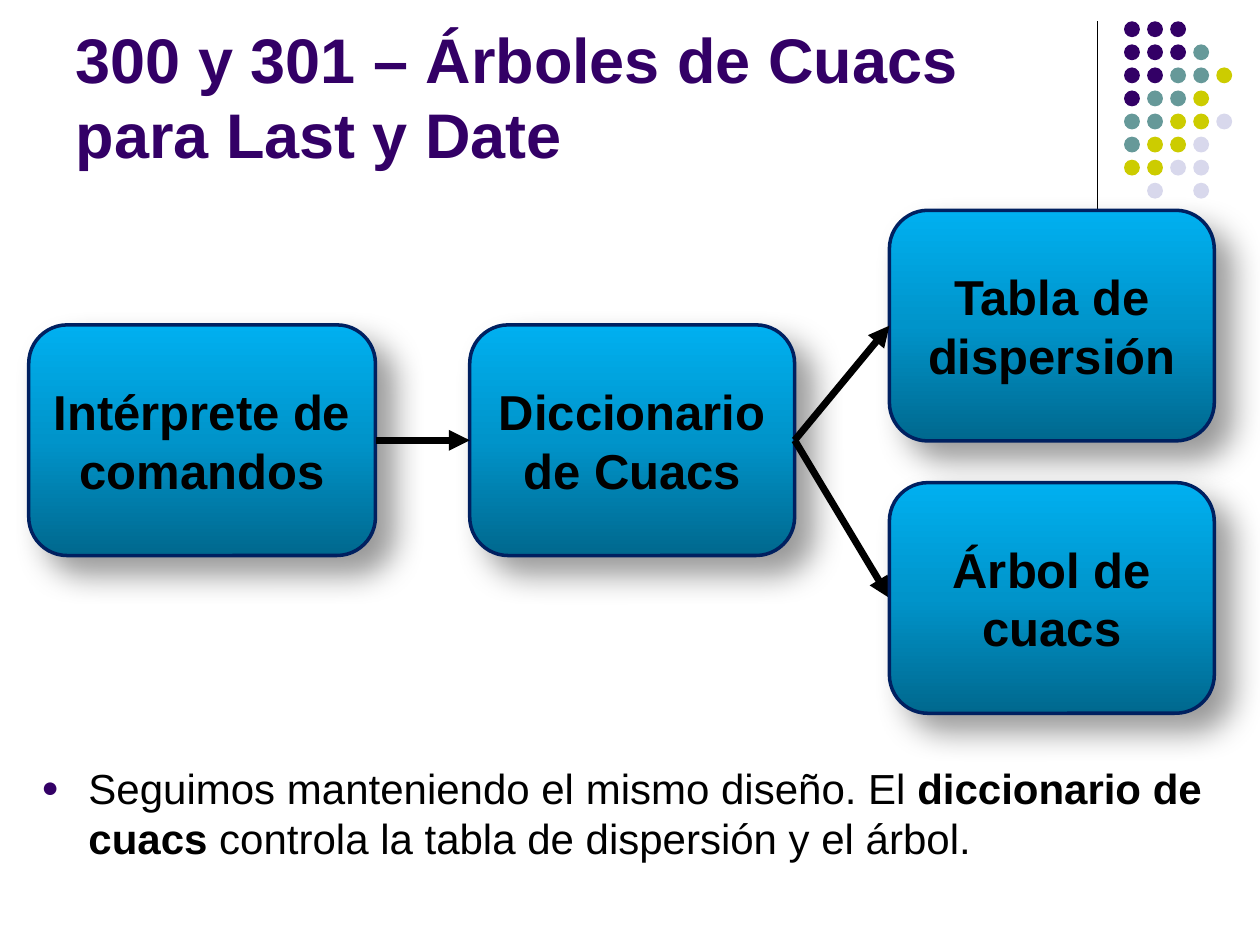
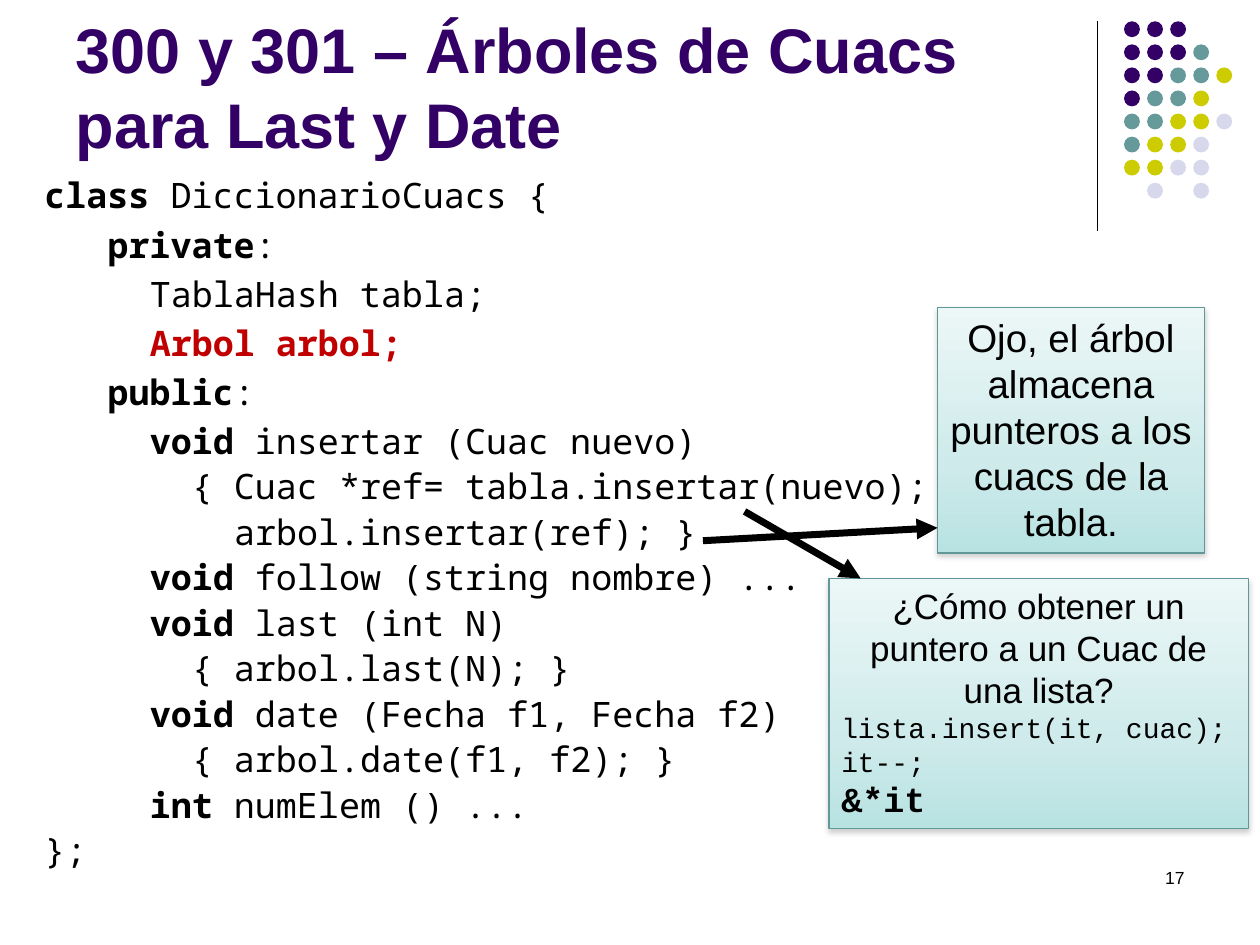
from lxml.etree import SubElement
from pptx import Presentation
from pptx.dml.color import RGBColor
from pptx.enum.shapes import MSO_CONNECTOR as CONN, MSO_SHAPE as SHAPE
from pptx.enum.text import MSO_ANCHOR as ANCHOR, MSO_AUTO_SIZE as AUTO, PP_ALIGN as ALIGN
from pptx.oxml.ns import qn
from pptx.util import Cm, Pt

COLORS = {
    "black": "000000", "purple": "330066", "teal": "669999", "lime": "CCCC00",
    "lilac": "D8D8EC", "navy": "002060", "red": "C00000", "edge": "629797",
    "gray": "808080",
}
BLUE_STOPS = [(0, "00688E"), (50, "0094CA"), (100, "00B0F0")]
MINT_STOPS = [(0, "ECF7F7"), (65, "CEEAEA"), (100, "B8E2E2")]
BOX_STYLE = dict(stops=BLUE_STOPS, angle=270, edge="navy", width=2,
                 shadow=("black", 40, 18, 14, 45))
NOTE_STYLE = dict(stops=MINT_STOPS, angle=90, edge="edge", width=0.75,
                  shadow=("gray", 38, 3.1, 1.6, 90))

SANS, CODE, COURIER = "Arial", "Noto Sans Mono", "Courier New"
TITLE = "300 y 301 – Árboles de Cuacs para Last y Date"
DOT_COLORS = {"p": "purple", "t": "teal", "l": "lime", "w": "lilac"}
DOT_ROWS = ["ppp", "pppt", "ppttl", "pttl", "ttllw", "tllw", "llww", " w w"]
DOT_LEFT, DOT_TOP, DOT_PITCH, DOT_SIZE = 22.66, 0.43, 0.465, 0.32

BOX_HEIGHT = 4.65
BOXES = {
    "interprete": (0.58, 6.55, 6.99, ["Intérprete de", "comandos"]),
    "diccionario": (9.47, 6.55, 6.55, ["Diccionario", "de Cuacs"]),
    "tabla": (17.93, 4.24, 6.55, ["Tabla de", "dispersión"]),
    "arbol": (17.93, 9.73, 6.55, ["Árbol de cuacs"]),
}
LINKS = [("interprete", "diccionario"), ("diccionario", "tabla"), ("diccionario", "arbol")]
LEFT_SITE, RIGHT_SITE = 1, 3
SUMMARY = [
    ("Seguimos manteniendo el mismo diseño. El ", False),
    ("diccionario de cuacs", True),
    (" controla la tabla de dispersión y el árbol.", False),
]

CHAR_WIDTH = 0.425
CODE_LINES = [
    (0, 4, "class", " DiccionarioCuacs {"),
    (3, 4, "private", ":"),
    (5, 4, "", "TablaHash tabla;"),
    (5, 4, "Arbol arbol;", ""),
    (3, 4, "public", ":"),
    (5, 4, "void", " insertar (Cuac nuevo)"),
    (7, 2, "", "{ Cuac *ref= tabla.insertar(nuevo);"),
    (9, 2, "", "arbol.insertar(ref); }"),
    (5, 2, "void", " follow (string nombre) ..."),
    (5, 2, "void", " last (int N)"),
    (7, 2, "", "{ arbol.last(N); }"),
    (5, 2, "void", " date (Fecha f1, Fecha f2)"),
    (7, 2, "", "{ arbol.date(f1, f2); }"),
    (5, 2, "int", " numElem () ..."),
    (0, 2, "", "};"),
]
HIGHLIGHT = "Arbol arbol;"
NOTES = [
    ((18.9, 6.2, 5.38, 4.95), [
        ("Ojo, el árbol almacena punteros a los cuacs de la tabla.", SANS, 22, False, ALIGN.CENTER),
    ]),
    ((16.71, 11.66, 8.46, 5.05), [
        ("¿Cómo obtener un puntero a un Cuac de una lista?", SANS, 20, False, ALIGN.CENTER),
        ("lista.insert(it, cuac);", COURIER, 16, False, ALIGN.LEFT),
        ("it--;", COURIER, 16, False, ALIGN.LEFT),
        ("&*it", COURIER, 20, True, ALIGN.LEFT),
    ]),
]
NOTE_ARROWS = [(14.17, 10.9, 18.9, 10.64), (15.01, 10.31, 17.35, 11.66)]


def rgb(name):
    return RGBColor.from_string(COLORS[name])


def cms(*values):
    return [Cm(v) for v in values]


def place(sp, *box):
    sp.left, sp.top, sp.width, sp.height = cms(*box)


def add_run(p, text, size, bold=False, font=SANS, color="black"):
    r = p.add_run()
    r.text = text
    r.font.name, r.font.size, r.font.bold = font, Pt(size), bold
    r.font.color.rgb = rgb(color)


def paragraphs(tf, count):
    return [tf.paragraphs[0]] + [tf.add_paragraph() for _ in range(count - 1)]


def sub(parent, tag, **attrs):
    return SubElement(parent, qn(tag), {k: str(v) for k, v in attrs.items()})


def set_indent(p, margin, first):
    pPr = p._p.get_or_add_pPr()
    pPr.set("marL", str(Cm(margin)))
    pPr.set("indent", str(Cm(first)))
    return pPr


def add_panel(s, kind, box, stops, angle, edge, width, shadow):
    sp = s.shapes.add_shape(kind, *cms(*box))
    spPr = sp._element.spPr
    grad = sub(spPr, "a:gradFill", rotWithShape=1)
    gs_list = sub(grad, "a:gsLst")
    for pos, color in stops:
        sub(sub(gs_list, "a:gs", pos=pos * 1000), "a:srgbClr", val=color)
    sub(grad, "a:lin", ang=angle * 60000, scaled=0)
    sp.line.color.rgb, sp.line.width = rgb(edge), Pt(width)
    color, alpha, blur, dist, direction = shadow
    outer = sub(sub(spPr, "a:effectLst"), "a:outerShdw", blurRad=Pt(blur), dist=Pt(dist),
                dir=direction * 60000, algn="tl", rotWithShape=0)
    sub(sub(outer, "a:srgbClr", val=COLORS[color]), "a:alpha", val=alpha * 1000)
    sp.text_frame.word_wrap = True
    return sp


def add_line(s, ends, width, arrow=False):
    c = s.shapes.add_connector(CONN.STRAIGHT, *cms(*ends))
    c.line.color.rgb, c.line.width = rgb("black"), Pt(width)
    if arrow:
        sub(c.line._get_or_add_ln(), "a:tailEnd", type="triangle")
    sub(c._element.spPr, "a:effectLst")
    return c


def add_dots(s):
    group = s.shapes.add_group_shape()
    for row, letters in enumerate(DOT_ROWS):
        for col, letter in enumerate(letters):
            if letter == " ":
                continue
            dot = group.shapes.add_shape(SHAPE.OVAL, *cms(
                DOT_LEFT + col * DOT_PITCH, DOT_TOP + row * DOT_PITCH, DOT_SIZE, DOT_SIZE))
            dot.shadow.inherit = False
            dot.fill.solid()
            dot.fill.fore_color.rgb = rgb(DOT_COLORS[letter])
            dot.line.fill.background()


def new_slide(prs, title_height, body_box):
    s = prs.slides.add_slide(prs.slide_layouts[1])
    add_line(s, (22.12, 0.43, 22.12, 4.65), 0.75)
    add_dots(s)
    title, body = s.shapes.title, s.placeholders[1]
    place(title, 1.27, 0.33, 20.96, title_height)
    place(body, *body_box)
    for sp in (title, body):
        sp.text_frame.word_wrap = True
        sp.text_frame.auto_size = AUTO.NONE
    title.text_frame.vertical_anchor = ANCHOR.BOTTOM
    p = title.text_frame.paragraphs[0]
    p.alignment = ALIGN.LEFT
    add_run(p, TITLE, 36, True, color="purple")
    return s, body.text_frame


def design_slide(prs):
    s, tf = new_slide(prs, 3.25, (0.58, 15.24, 24.38, 2.54))
    p = tf.paragraphs[0]
    pPr = set_indent(p, 0.95, -0.95)
    sub(sub(pPr, "a:buClr"), "a:srgbClr", val=COLORS["purple"])
    sub(pPr, "a:buSzPct", val=70000)
    sub(pPr, "a:buFont", typeface=SANS)
    sub(pPr, "a:buChar", char="●")
    p.space_before = Pt(4.8)
    for text, bold in SUMMARY:
        add_run(p, text, 24, bold)

    boxes = {}
    for name, (left, top, width, lines) in BOXES.items():
        sp = add_panel(s, SHAPE.ROUNDED_RECTANGLE, (left, top, width, BOX_HEIGHT), **BOX_STYLE)
        sp.text_frame.vertical_anchor = ANCHOR.MIDDLE
        for p, text in zip(paragraphs(sp.text_frame, len(lines)), lines):
            p.alignment = ALIGN.CENTER
            add_run(p, text, 28, True)
        boxes[name] = sp
    for start, end in LINKS:
        c = add_line(s, (0, 0, 1, 1), 4, arrow=True)
        c.begin_connect(boxes[start], RIGHT_SITE)
        c.end_connect(boxes[end], LEFT_SITE)
    tree = boxes["arbol"]._element
    tree.getparent().append(tree)


def code_slide(prs):
    s, tf = new_slide(prs, 3.05, (0.64, 3.38, 23.93, 15.04))
    for p, (chars, before, strong, plain) in zip(paragraphs(tf, len(CODE_LINES)), CODE_LINES):
        sub(set_indent(p, chars * CHAR_WIDTH, 0), "a:buNone")
        p.space_before = Pt(before)
        if strong:
            add_run(p, strong, 20, True, CODE, "red" if strong == HIGHLIGHT else "black")
        if plain:
            add_run(p, plain, 20, False, CODE)

    for box, lines in NOTES:
        tf = add_panel(s, SHAPE.RECTANGLE, box, **NOTE_STYLE).text_frame
        tf.vertical_anchor = ANCHOR.TOP
        for p, (text, font, size, bold, align) in zip(paragraphs(tf, len(lines)), lines):
            p.alignment = align
            add_run(p, text, size, bold, font)
    for ends in NOTE_ARROWS:
        add_line(s, ends, 4, arrow=True)

    number = s.shapes.add_textbox(*cms(18.2, 17.36, 5.93, 1.27)).text_frame
    number.word_wrap = True
    number.paragraphs[0].alignment = ALIGN.RIGHT
    add_run(number.paragraphs[0], "17", 10)


def main():
    prs = Presentation()
    prs.slide_width, prs.slide_height = cms(25.4, 19.05)
    design_slide(prs)
    code_slide(prs)
    prs.save("out.pptx")


if __name__ == "__main__":
    main()
